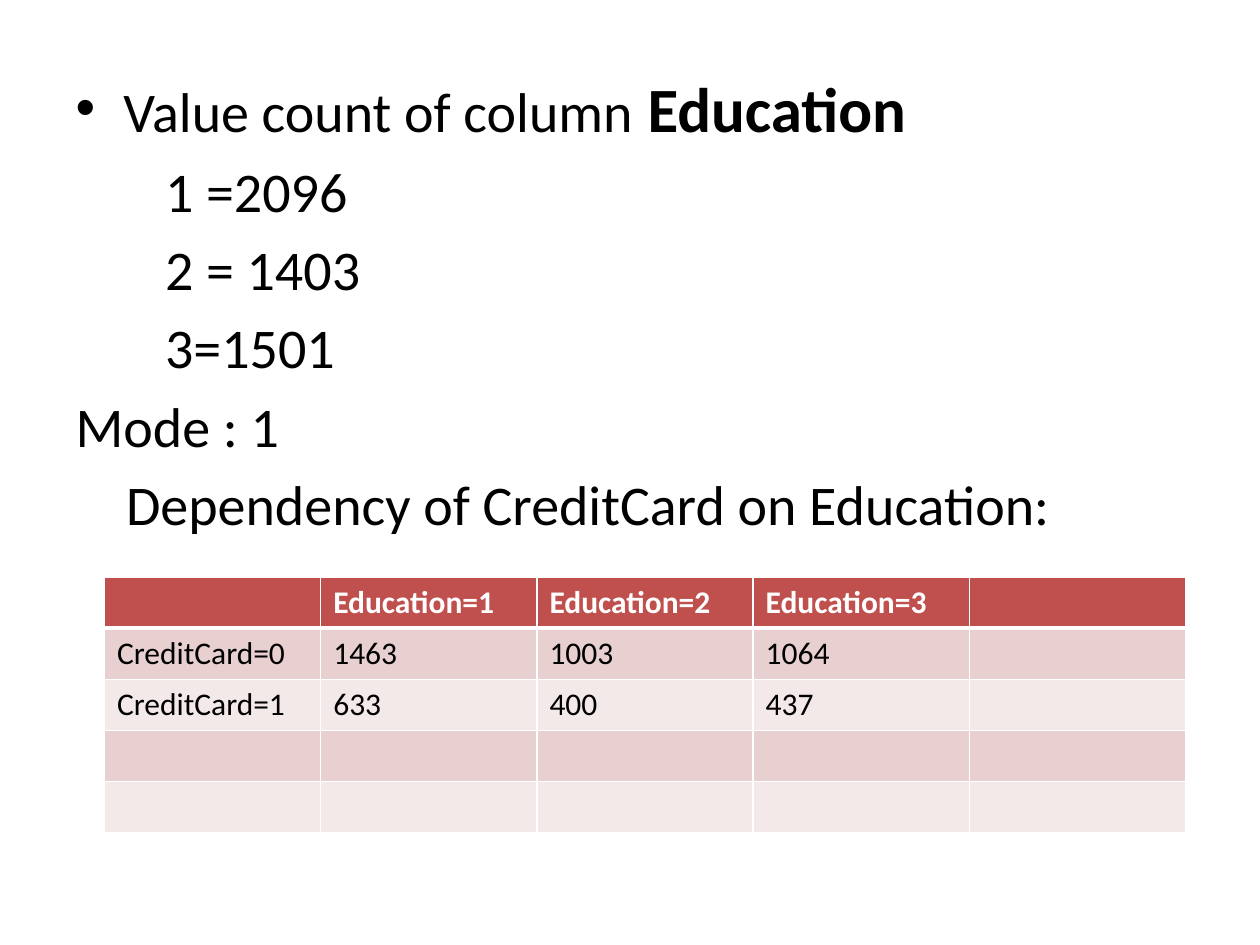
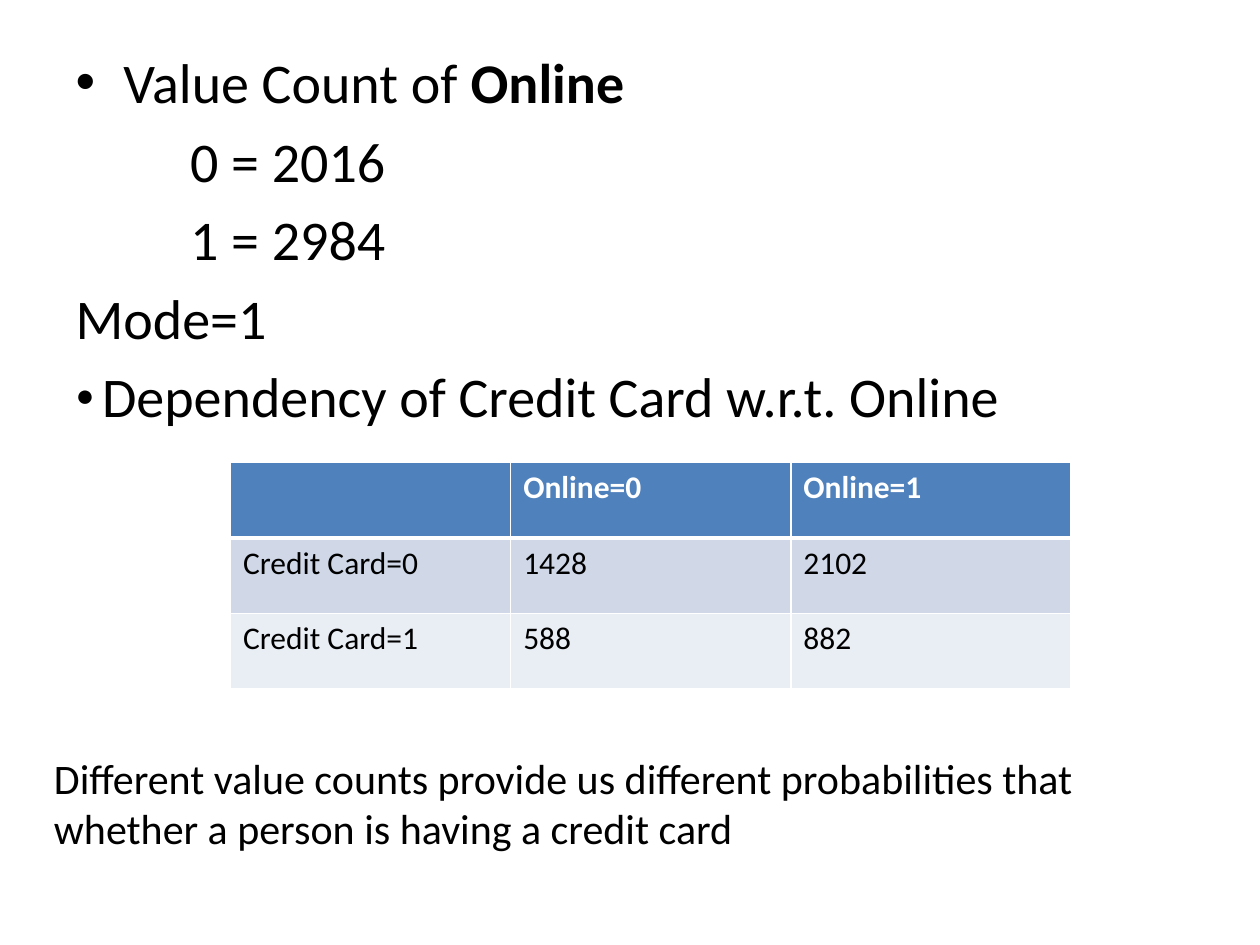
import pptx
import pptx.util
import pptx.dml.color
import pptx.enum.text
import pptx.oxml.ns
import lxml.etree

Inches = pptx.util.Inches
FONT = "Calibri"
BLACK, WHITE = "000000", "FFFFFF"
RED_BANDS = ("C0504D", "E8D0D0", "F4E9E9")
BLUE_BANDS = ("4F81BD", "D0D8E8", "E9EDF4")
BODY_SIZE, CELL_SIZE, NOTE_SIZE = 32, 18, 24


def color(value):
    return pptx.dml.color.RGBColor.from_string(value)


def add_node(parent, tag, **attributes):
    return lxml.etree.SubElement(parent, pptx.oxml.ns.qn(tag), attributes)


def add_text(para, text, size=BODY_SIZE, bold=False, fill=BLACK):
    span = para.add_run()
    span.text = text
    span.font.name = FONT
    span.font.size = pptx.util.Pt(size)
    span.font.bold = bold
    span.font.color.rgb = color(fill)


def set_indent(para, left, bullet=None, bullet_scale=100):
    properties = para._p.get_or_add_pPr()
    properties.set("marL", str(Inches(left)))
    properties.set("indent", str(-Inches(left) if bullet else 0))
    if bullet:
        add_node(properties, "a:buSzPct", val=str(bullet_scale * 1000))
        add_node(properties, "a:buChar", char=bullet)
    else:
        add_node(properties, "a:buNone")


def add_body(page, box, lines):
    page.shapes.title.element.getparent().remove(page.shapes.title.element)
    body = page.placeholders[1]
    body.left, body.top, body.width, body.height = map(Inches, box)
    frame = body.text_frame
    frame.auto_size = pptx.enum.text.MSO_AUTO_SIZE.NONE
    for index, (indent, spans) in enumerate(lines):
        para = frame.add_paragraph() if index else frame.paragraphs[0]
        set_indent(para, **indent)
        for text, text_format in spans:
            add_text(para, text, **text_format)


def set_borders(cell, bottom_width):
    properties = cell._tc.get_or_add_tcPr()
    for side in "LRTB":
        width = bottom_width if side == "B" else 1
        line = add_node(properties, f"a:ln{side}", w=str(pptx.util.Pt(width)))
        add_node(add_node(line, "a:solidFill"), "a:srgbClr", val=WHITE)


def add_count_table(page, box, rows, bands):
    header, odd, even = bands
    grid = page.shapes.add_table(len(rows), len(rows[0]), *map(Inches, box)).table
    for row_index, row in enumerate(rows):
        is_header = row_index == 0
        fill = header if is_header else (even, odd)[row_index % 2]
        for column_index, text in enumerate(row):
            cell = grid.cell(row_index, column_index)
            set_borders(cell, 3 if is_header else 1)
            cell.fill.solid()
            cell.fill.fore_color.rgb = color(fill)
            if text:
                add_text(cell.text_frame.paragraphs[0], text, size=CELL_SIZE,
                         bold=is_header, fill=WHITE if is_header else BLACK)


def add_note(page, box, text):
    frame = page.shapes.add_textbox(*map(Inches, box)).text_frame
    frame.word_wrap = True
    add_text(frame.paragraphs[0], text, size=NOTE_SIZE)


def line(text, left=0):
    return dict(left=left), [(text, {})]


def add_education_page(deck):
    page = deck.slides.add_slide(deck.slide_layouts[1])
    heading = (dict(left=0.38, bullet="•"),
               [("Value count of column", {}), (" ", dict(size=36)),
                ("Education", dict(size=36, bold=True))])
    counts = [line(text, 0.71) for text in ("1 =2096", "2 = 1403", "3=1501")]
    add_body(page, (0.5, 0.5, 9, 6.2), [
        heading, *counts, line("Mode : 1"),
        line("Dependency of CreditCard on Education:", 0.4)])
    add_count_table(page, (0.83, 4.58, 8.58, 2), [
        ("", "Education=1", "Education=2", "Education=3", ""),
        ("CreditCard=0", "1463", "1003", "1064", ""),
        ("CreditCard=1", "633", "400", "437", ""),
        ("",) * 5,
        ("",) * 5], RED_BANDS)


def add_online_page(deck):
    page = deck.slides.add_slide(deck.slide_layouts[1])
    heading = (dict(left=0.38, bullet="•"),
               [("Value Count of", {}), (" Online", dict(bold=True))])
    counts = [line(text, 0.91) for text in ("0 = 2016", "1 = 2984")]
    dependency = (dict(left=0.21, bullet="●", bullet_scale=56),
                  [("Dependency of Credit Card w.r.t. Online", {})])
    add_body(page, (0.5, 0.33, 9, 6.37),
             [heading, *counts, line("Mode=1"), dependency])
    add_count_table(page, (1.83, 3.67, 6.67, 1.8), [
        ("", "Online=0", "Online=1"),
        ("Credit Card=0", "1428", "2102"),
        ("Credit Card=1", "588", "882")], BLUE_BANDS)
    add_note(page, (0.33, 5.92, 9.25, 0.91),
             "Different value counts provide us different probabilities "
             "that whether a person is having a credit card")


deck = pptx.Presentation()
deck.slide_width, deck.slide_height = Inches(10), Inches(7.5)
add_education_page(deck)
add_online_page(deck)
deck.save("out.pptx")
